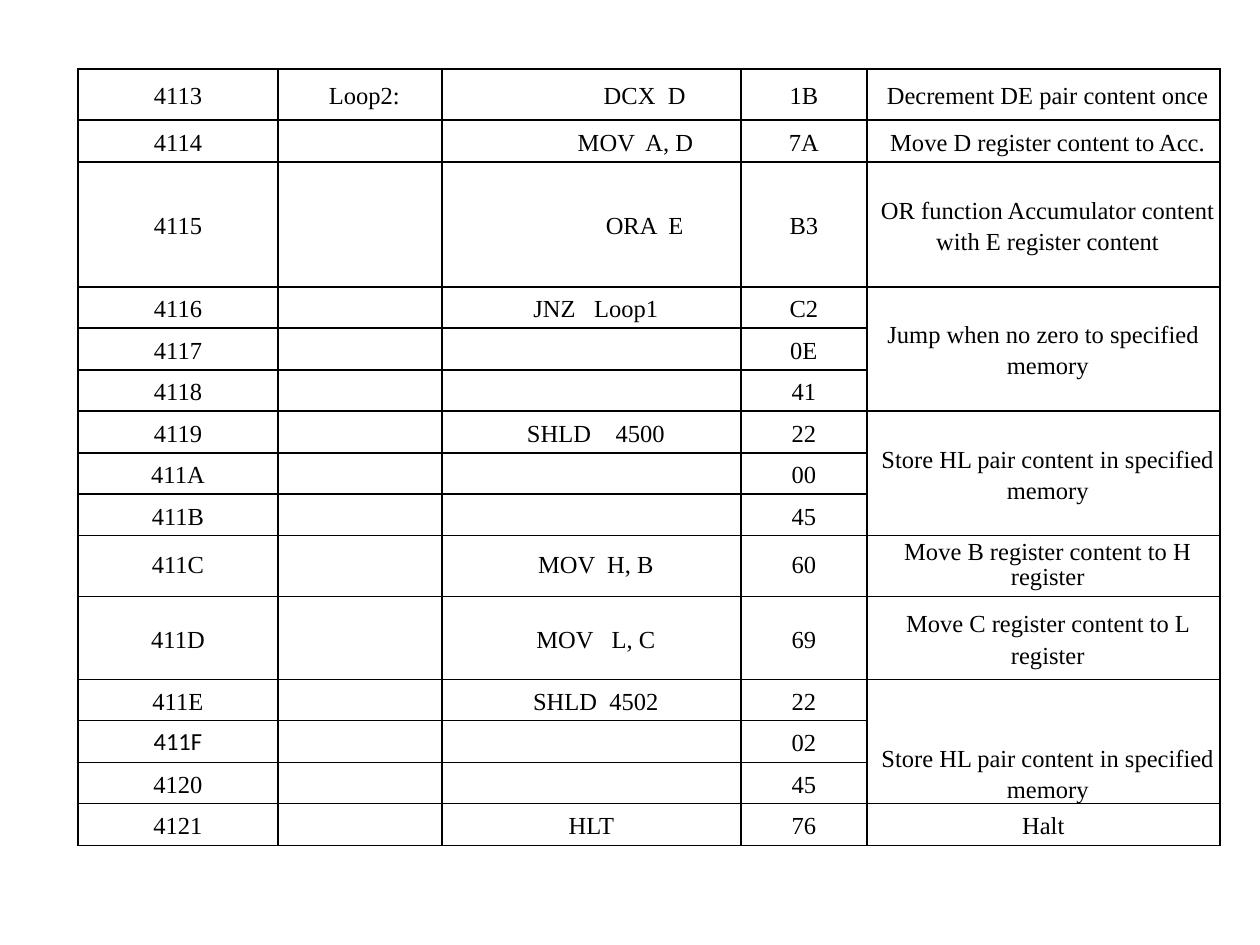
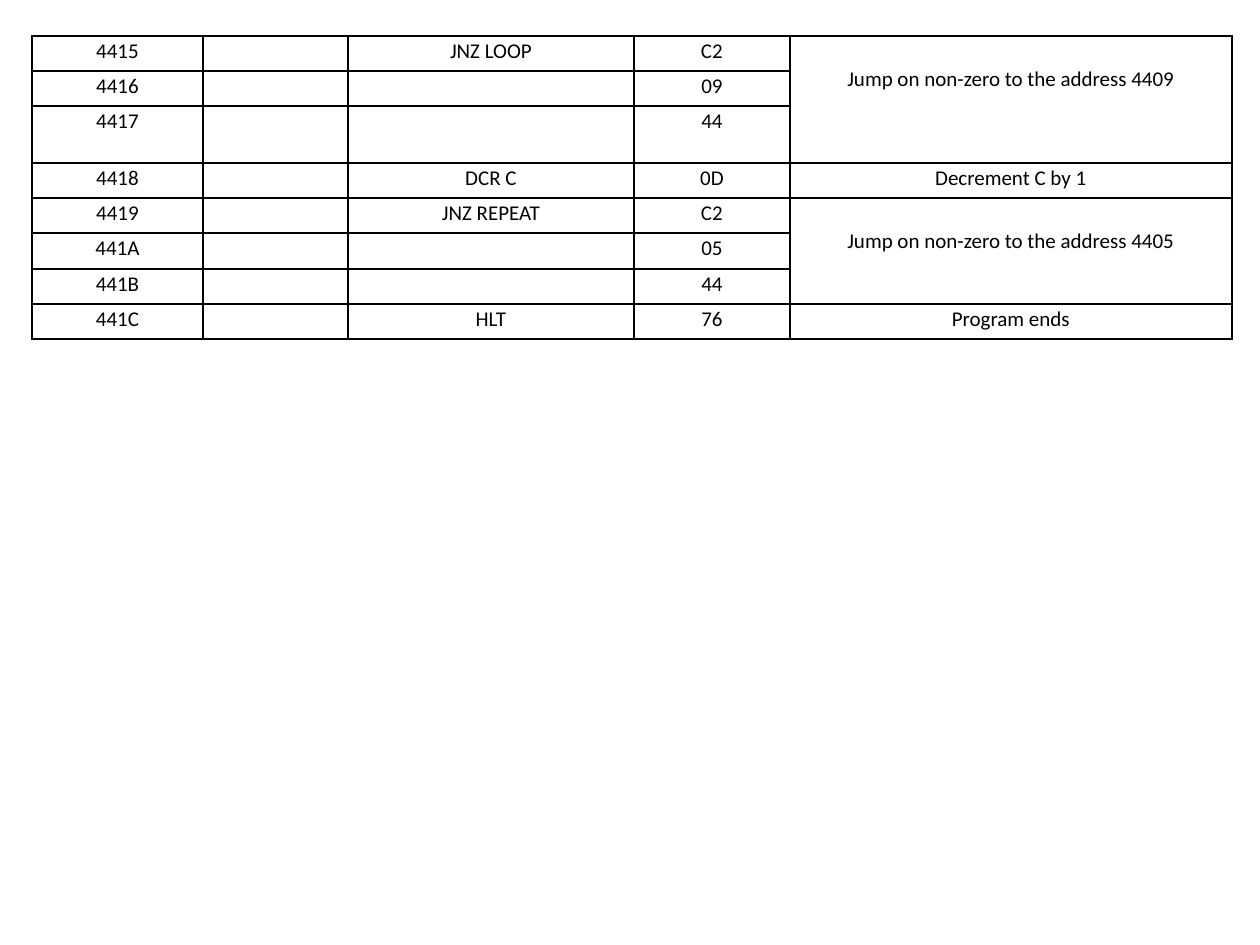
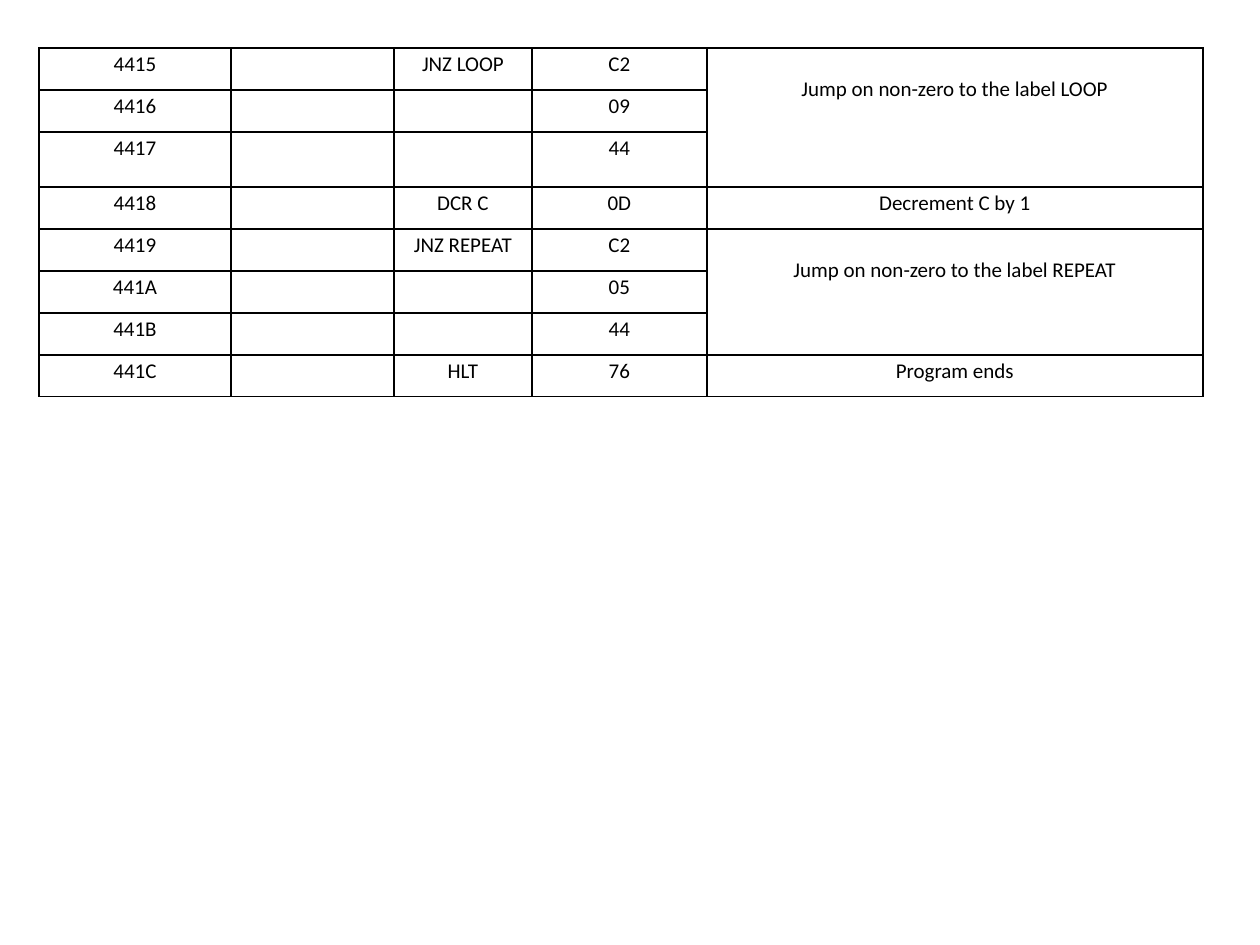
from lxml import etree
from pptx import Presentation
from pptx import util as u
from pptx.dml.color import RGBColor
from pptx.enum import text
from pptx.oxml.ns import qn

PX = u.Inches(1) // 126
BLACK = "000000"
SERIF = "Times New Roman"
SANS = "Calibri"
MIDDLE = text.MSO_ANCHOR.MIDDLE
TOP = text.MSO_ANCHOR.TOP
BOTTOM = text.MSO_ANCHOR.BOTTOM

# Each row: address, label, mnemonic, opcode, comment.
# A comment of None belongs to the comment above it.
DELAY_ROWS = [
    ("4113", "Loop2:", "                DCX  D", "1B", "Decrement DE pair content once"),
    ("4114", "", "             MOV  A, D", "7A", "Move D register content to Acc."),
    ("4115", "", "                ORA  E", "B3",
     "OR function Accumulator content\nwith E register content"),
    ("4116", "", "JNZ   Loop1", "C2", "Jump when no zero to specified\nmemory"),
    ("4117", "", "", "0E", None),
    ("4118", "", "", "41", None),
    ("4119", "", "SHLD    4500", "22", "Store HL pair content in specified\nmemory"),
    ("411A", "", "", "00", None),
    ("411B", "", "", "45", None),
    ("411C", "", "MOV  H, B", "60", "Move B register content to H register"),
    ("411D", "", "MOV   L, C", "69", "Move C register content to L register"),
    ("411E", "", "SHLD  4502", "22", "Store HL pair content in specified\nmemory"),
    ("411F", "", "", "02", None),
    ("4120", "", "", "45", None),
    ("4121", "", "HLT", "76", "Halt"),
]
UNINDENTED = {"Jump when no zero to specified", "HLT", "Halt"}


def sort_rows(loop_target, repeat_target):
    jump = "Jump on non-zero to the "
    return [
        ("4415", "", "JNZ LOOP", "C2", jump + loop_target),
        ("4416", "", "", "09", None),
        ("4417", "", "", "44", None),
        ("4418", "", "DCR C", "0D", "Decrement C by 1"),
        ("4419", "", "JNZ REPEAT", "C2", jump + repeat_target),
        ("441A", "", "", "05", None),
        ("441B", "", "", "44", None),
        ("441C", "", "HLT", "76", "Program ends"),
    ]


def color(value):
    return RGBColor.from_string(value)


def write(cell, content, *, font, size, spacing, indent=0, anchor=TOP, margins=(0, 0, 0, 0)):
    """Fill a cell with centred lines; margins are left, top, right, bottom in px."""
    cell.margin_left, cell.margin_top, cell.margin_right, cell.margin_bottom = (
        margin * PX for margin in margins)
    cell.vertical_anchor = anchor
    frame = cell.text_frame
    for number, line in enumerate(content.split("\n")):
        paragraph = frame.add_paragraph() if number else frame.paragraphs[0]
        paragraph.alignment = text.PP_ALIGN.CENTER
        paragraph.line_spacing = spacing
        if indent and line not in UNINDENTED:
            paragraph._p.get_or_add_pPr().set("marL", str(indent * PX))
        if line:
            run = paragraph.add_run()
            run.text = line
            run.font.name = font
            run.font.size = u.Pt(size)
            run.font.color.rgb = color(BLACK)
        else:
            etree.SubElement(paragraph._p, qn("a:endParaRPr"), sz=str(size * 100))


def outline(cell):
    properties = cell._tc.get_or_add_tcPr()
    for position, side in enumerate(("lnL", "lnR", "lnT", "lnB")):
        line = etree.Element(qn("a:" + side), w=str(u.Pt(1)))
        fill = etree.SubElement(line, qn("a:solidFill"))
        etree.SubElement(fill, qn("a:srgbClr"), val=BLACK)
        properties.insert(position, line)


def add_listing(slide, left, top, widths, heights, rows, cell_format):
    """Draw a program listing; cell_format(row, column, spanned) gives write's keywords."""
    table = slide.shapes.add_table(
        len(rows), len(widths), left * PX, top * PX, sum(widths) * PX, sum(heights) * PX).table
    table.first_row = table.horz_banding = False
    for column, width in zip(table.columns, widths):
        column.width = width * PX
    for row, height in zip(table.rows, heights):
        row.height = height * PX

    for row, values in enumerate(rows):
        last = row
        while last + 1 < len(rows) and rows[last + 1][-1] is None:
            last += 1
        for column, value in enumerate(values):
            cell = table.cell(row, column)
            spanned = column == len(widths) - 1 and last > row and value is not None
            write(cell, value or "", **cell_format(row, column, spanned))
            cell.fill.background()
            outline(cell)
            if spanned:
                cell.merge(table.cell(last, column))


def add_delay_slide(slide):
    def cell_format(row, column, spanned):
        address = DELAY_ROWS[row][0]
        style = dict(font=SERIF, size=14, spacing=1.15, anchor=MIDDLE,
                     indent=9 if column in (1, 2, 4) else 0)
        if address == "411C":
            style["spacing"] = u.Pt(13.8)
        if address == "411F" and column == 0:
            style.update(font=SANS, spacing=1.0)
        if address == "411E" and spanned:
            style["anchor"] = BOTTOM
        return style

    heights = [51, 42, 125] + [41, 42] * 3 + [61, 83] + [41, 42] * 2
    add_listing(slide, 78, 69, [200, 164, 299, 126, 353], heights, DELAY_ROWS, cell_format)


def add_sort_slide(slide, left, top, widths, heights, rows, spacing, comment_drop):
    def cell_format(row, column, spanned):
        return dict(font=SANS, size=12, spacing=spacing,
                    margins=(5, comment_drop if spanned else 0, 5, 0))

    add_listing(slide, left, top, widths, heights, rows, cell_format)


def main():
    presentation = Presentation()
    presentation.slide_width = u.Inches(10)
    presentation.slide_height = u.Inches(7.5)
    delay, by_address, by_label = (
        presentation.slides.add_slide(presentation.slide_layouts[6]) for _ in range(3))
    add_delay_slide(delay)
    add_sort_slide(by_address, 32, 36, [171, 145, 286, 156, 442],
                   [35, 35, 57, 35, 35, 36, 35, 35],
                   sort_rows("address 4409", "address 4405"), u.Pt(16.1), 28)
    add_sort_slide(by_label, 39, 48, [192, 163, 138, 175, 496],
                   [42, 42, 55] + [42] * 5,
                   sort_rows("label LOOP", "label REPEAT"), 1.15, 25)
    presentation.save("out.pptx")


if __name__ == "__main__":
    main()
